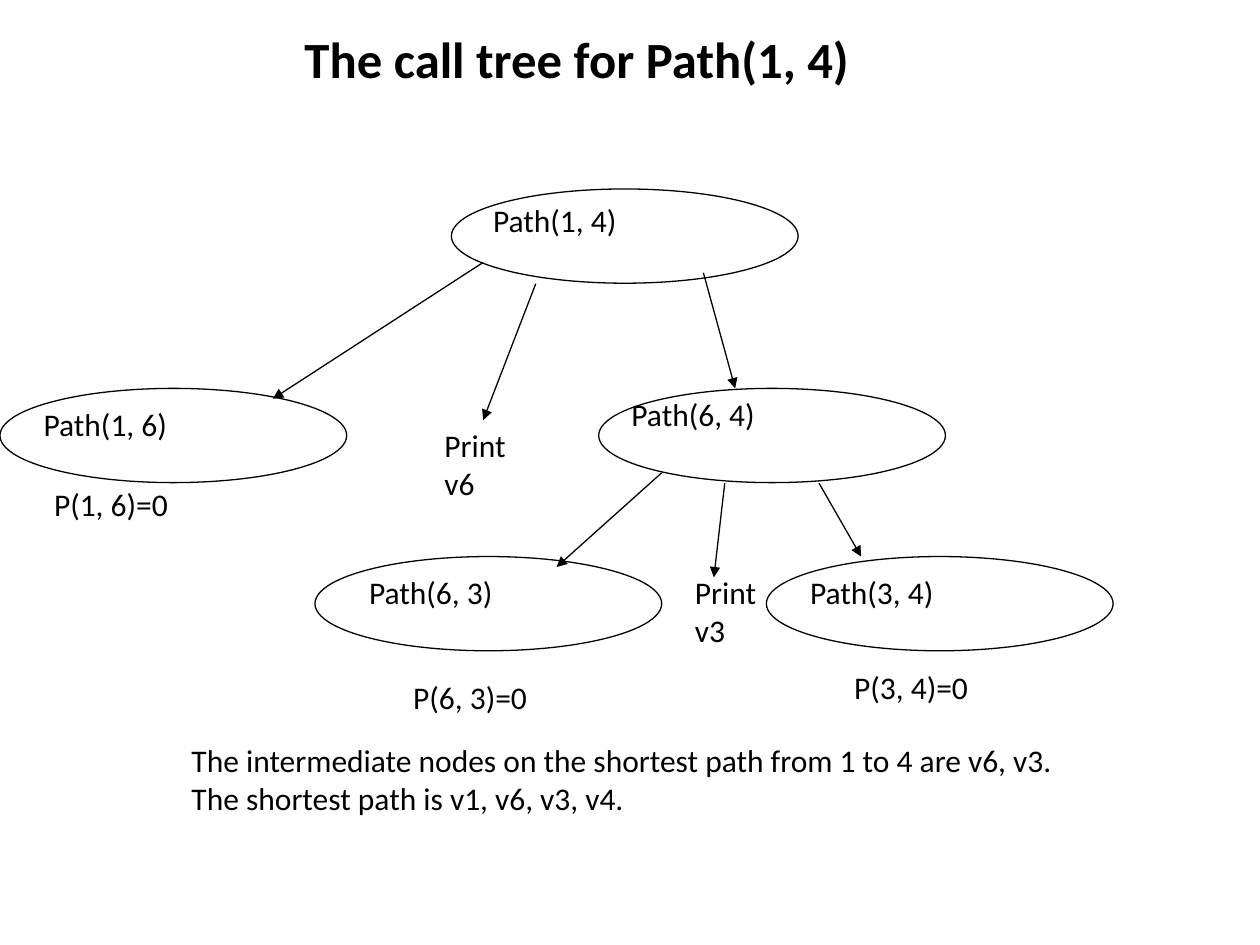
"""Build a slide showing the call tree for Path(1, 4)."""
from dataclasses import dataclass

from lxml import etree
from pptx import Presentation
from pptx.dml.color import RGBColor
from pptx.enum.shapes import MSO_CONNECTOR, MSO_SHAPE
from pptx.enum.text import MSO_ANCHOR, MSO_AUTO_SIZE, PP_ALIGN
from pptx.oxml.ns import qn
from pptx.util import Cm, Pt

ELLIPSE = MSO_SHAPE.OVAL
STRAIGHT = MSO_CONNECTOR.STRAIGHT
CENTER = PP_ALIGN.CENTER
MIDDLE = MSO_ANCHOR.MIDDLE
GROW = MSO_AUTO_SIZE.SHAPE_TO_FIT_TEXT


@dataclass(frozen=True)
class Theme:
    ink: RGBColor = RGBColor(0, 0, 0)
    font: str = "Calibri"
    title: Pt = Pt(29)
    body: Pt = Pt(18)
    line: Pt = Pt(0.75)


theme = Theme()
prs = Presentation()
prs.slide_width, prs.slide_height = Cm(25.4), Cm(19.05)
s = prs.slides.add_slide(prs.slide_layouts[6])


def add_text(text, x, y, w, h, size=theme.body):
    tf = s.shapes.add_textbox(Cm(x), Cm(y), Cm(w), Cm(h)).text_frame
    tf.text = text
    for p in tf.paragraphs:
        for r in p.runs:
            r.font.name, r.font.size = theme.font, size
            r.font.color.rgb = theme.ink
    return tf


tf = add_text("The call tree for Path(1, 4)", 0.84, 0.43, 21.59, 1.47, theme.title)
tf.word_wrap = True
tf.vertical_anchor = MIDDLE
tf.paragraphs[0].alignment = CENTER
tf.paragraphs[0].runs[0].font.bold = True

nodes = [(9.1, 3.81), (0, 7.83), (12.07, 7.83), (6.35, 11.22), (15.45, 11.22)]
for x, y in nodes:
    sp = s.shapes.add_shape(ELLIPSE, Cm(x), Cm(y), Cm(6.99), Cm(1.9))
    sp.shadow.inherit = False
    sp.fill.background()
    sp.line.color.rgb, sp.line.width = theme.ink, theme.line

arrows = [
    (9.74, 5.29, 5.5, 8.04),
    (10.8, 5.72, 9.74, 8.47),
    (14.18, 5.5, 14.82, 7.83),
    (13.34, 9.53, 11.22, 11.43),
    (14.61, 9.74, 14.39, 11.64),
    (16.51, 9.74, 17.36, 11.22),
]
for ends in arrows:
    cxn = s.shapes.add_connector(STRAIGHT, *map(Cm, ends))
    cxn.line.color.rgb, cxn.line.width = theme.ink, theme.line
    props = cxn.element.spPr
    etree.SubElement(props.find(qn("a:ln")), qn("a:tailEnd"), type="triangle")
    etree.SubElement(props, qn("a:effectLst"))

labels = [
    ("Path(1, 4)", 9.69, 3.92, 3.05, 1.02),
    ("Path(1, 6)", 0.63, 8.05, 3.05, 1.02),
    ("Path(6, 4)", 12.48, 7.83, 3.05, 1.02),
    ("Path(6, 3)", 7.19, 11.43, 3.05, 1.02),
    ("Path(3, 4)", 16.08, 11.43, 3.05, 1.02),
    ("Print\nv6", 8.71, 8.47, 1.88, 1.78),
    ("Print\nv3", 13.76, 11.43, 1.77, 1.78),
    ("P(1, 6)=0", 0.84, 9.65, 2.9, 1.02),
    ("P(6, 3)=0", 8.08, 13.55, 2.9, 1.02),
    ("P(3, 4)=0", 16.97, 13.34, 2.9, 1.02),
    ("The intermediate nodes on the shortest path from 1 to 4 are v6, v3.\n"
     "The shortest path is v1, v6, v3, v4.", 3.61, 14.82, 17.95, 1.78),
]
for text, *box in labels:
    tf = add_text(text, *box)
    tf.word_wrap = False
    tf.auto_size = GROW

prs.save("out.pptx")
